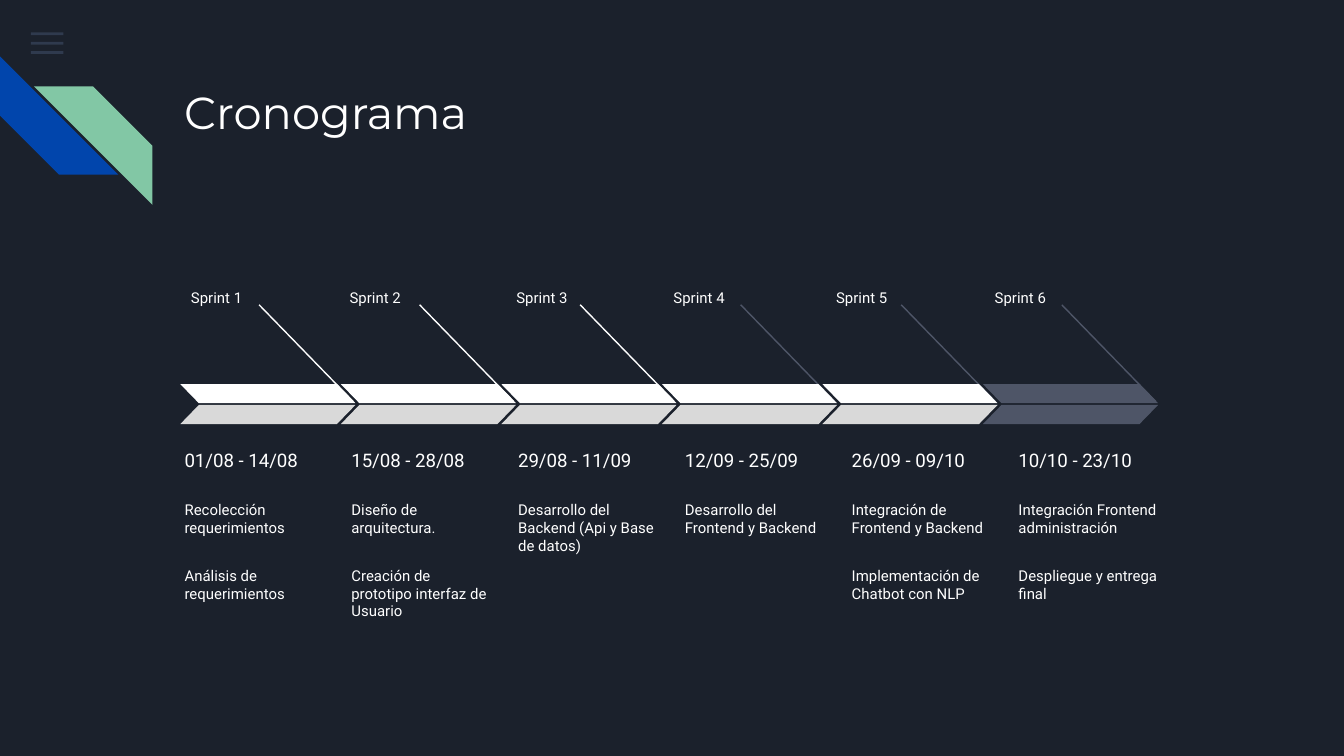
from lxml.etree import SubElement
from pptx import Presentation
from pptx.dml.color import RGBColor
from pptx.enum.shapes import MSO_CONNECTOR, MSO_SHAPE
from pptx.enum.text import MSO_ANCHOR, PP_ALIGN
from pptx.oxml.ns import qn
from pptx.util import Pt

BACKGROUND, WHITE, SILVER, SLATE = "1B212C", "FFFFFF", "D9D9D9", "4E5567"
BLUE, GREEN, MENU = "0145AC", "82C7A5", "55688B"
INSET = 7.2

# Label left, upper colour, lower colour, pointer colour, dates, tasks
SPRINTS = [
    (94.3, WHITE, SILVER, WHITE, "01/08 - 14/08",
     ["Recolección requerimientos", "Análisis de requerimientos"]),
    (179.3, WHITE, SILVER, WHITE, "15/08 - 28/08",
     ["Diseño de arquitectura.", "Creación de prototipo interfaz de Usuario"]),
    (268.6, WHITE, SILVER, WHITE, "29/08 - 11/09",
     ["Desarrollo del Backend (Api y Base de datos)"]),
    (352.8, WHITE, SILVER, SLATE, "12/09 - 25/09",
     ["Desarrollo del Frontend y Backend"]),
    (439.9, WHITE, SILVER, SLATE, "26/09 - 09/10",
     ["Integración de Frontend y Backend", "Implementación de Chatbot con NLP"]),
    (524.9, SLATE, SLATE, SLATE, "10/10 - 23/10",
     ["Integración Frontend administración", "Despliegue y entrega final"]),
]


def rgb(value):
    return RGBColor.from_string(value)


def add_block(slide, kind, box, color, adjustment=None, mirrored=False):
    shape = slide.shapes.add_shape(kind, *map(Pt, box))
    shape.shadow.inherit = False
    shape.fill.solid()
    shape.fill.fore_color.rgb = rgb(color)
    shape.line.fill.background()
    if adjustment is not None:
        shape.adjustments[0] = adjustment
    if mirrored:
        shape._element.spPr.find(qn("a:xfrm")).set("flipH", "1")
    return shape


def format_frame(frame, paragraphs, size, font="Roboto", anchor=MSO_ANCHOR.TOP,
                 align=PP_ALIGN.LEFT, gap=0):
    frame.word_wrap = True
    frame.vertical_anchor = anchor
    frame.margin_left = frame.margin_right = Pt(INSET)
    frame.margin_top = frame.margin_bottom = Pt(INSET)
    frame.text = "\n".join(paragraphs)
    for index, paragraph in enumerate(frame.paragraphs):
        paragraph.alignment = align
        paragraph.space_before = Pt(gap if index else 0)
        paragraph.font.size = Pt(size)
        paragraph.font.name = font
        paragraph.font.color.rgb = rgb(WHITE)


def add_text(slide, box, paragraphs, size, **options):
    text_box = slide.shapes.add_textbox(*map(Pt, box))
    format_frame(text_box.text_frame, paragraphs, size, **options)


def add_pointer(slide, start, end, color):
    line = slide.shapes.add_connector(MSO_CONNECTOR.STRAIGHT, *map(Pt, start + end))
    line.line.color.rgb = rgb(color)
    line.line.width = Pt(0.75)
    SubElement(line._element.spPr, qn("a:effectLst"))


def add_menu_icon(slide, left, top, width):
    for row in range(3):
        bar = add_block(slide, MSO_SHAPE.RECTANGLE, (left, top + 5 * row, width, 1.5), MENU)
        color = bar._element.spPr.find(qn("a:solidFill"))[0]
        SubElement(color, qn("a:alpha"), val="36000")


def add_corner_stripes(slide, left, top, side):
    blue = add_block(slide, MSO_SHAPE.DIAGONAL_STRIPE, (left, top, side, side), BLUE, 0.5)
    blue.rotation = 270
    add_block(slide, MSO_SHAPE.DIAGONAL_STRIPE, (left + 18.2, top + 16.1, side, side),
              GREEN, 0.5, mirrored=True)


def add_title(slide, left, top, width, height):
    title = slide.shapes.title
    title.left, title.top, title.width, title.height = map(Pt, (left, top, width, height))
    format_frame(title.text_frame, ["Cronograma"], 24, font="Montserrat")


def add_arrows(slide, left, top, step):
    """Draw the split arrows with their pointers and sprint labels."""
    for index, (label_left, upper, lower, pointer, _, _) in enumerate(SPRINTS):
        x = left + step * index
        add_pointer(slide, (x + 42.2, top - 42.5), (x + 92.6, top + 9.3), pointer)
        add_block(slide, MSO_SHAPE.PARALLELOGRAM, (x, top, 93.8, 10.2), upper, 0.97,
                  mirrored=True)
        add_block(slide, MSO_SHAPE.PARALLELOGRAM, (x, top + 11.2, 93.8, 10.2), lower, 0.97)
        add_text(slide, (label_left, top - 56.2, 42.6, 16.6), [f"Sprint {index + 1}"], 8,
                 align=PP_ALIGN.RIGHT)


def add_details(slide, left, top, step):
    """Place the dates and tasks in columns below the arrows."""
    for index, (*_, dates, tasks) in enumerate(SPRINTS):
        x = left + step * index
        add_text(slide, (x, top, step, 31.7), [dates], 10, anchor=MSO_ANCHOR.MIDDLE)
        add_text(slide, (x, top + 30.3, step, 52.6), tasks, 8, gap=16)


def main():
    presentation = Presentation()
    presentation.slide_width, presentation.slide_height = Pt(720), Pt(405)
    slide = presentation.slides.add_slide(presentation.slide_layouts[5])
    slide.background.fill.solid()
    slide.background.fill.fore_color.rgb = rgb(BACKGROUND)
    add_menu_icon(slide, 16.6, 17.4, 17.4)
    add_corner_stripes(slide, 0, 30.2, 63.4)
    add_title(slide, 91.4, 38.2, 554.4, 72)
    add_arrows(slide, 96.6, 205.8, 86)
    add_details(slide, 91.8, 230.7, 89.35)
    presentation.save("out.pptx")


if __name__ == "__main__":
    main()
